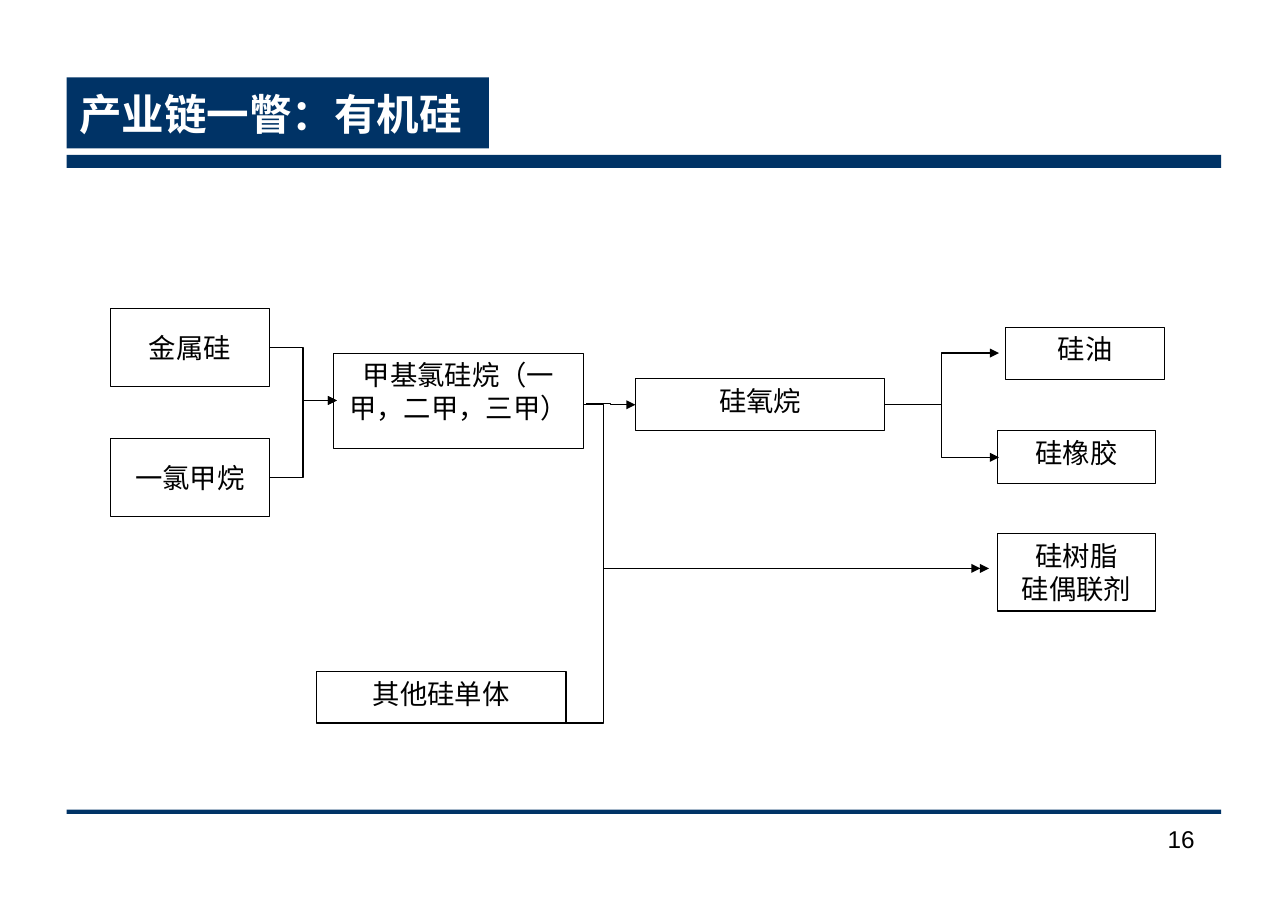
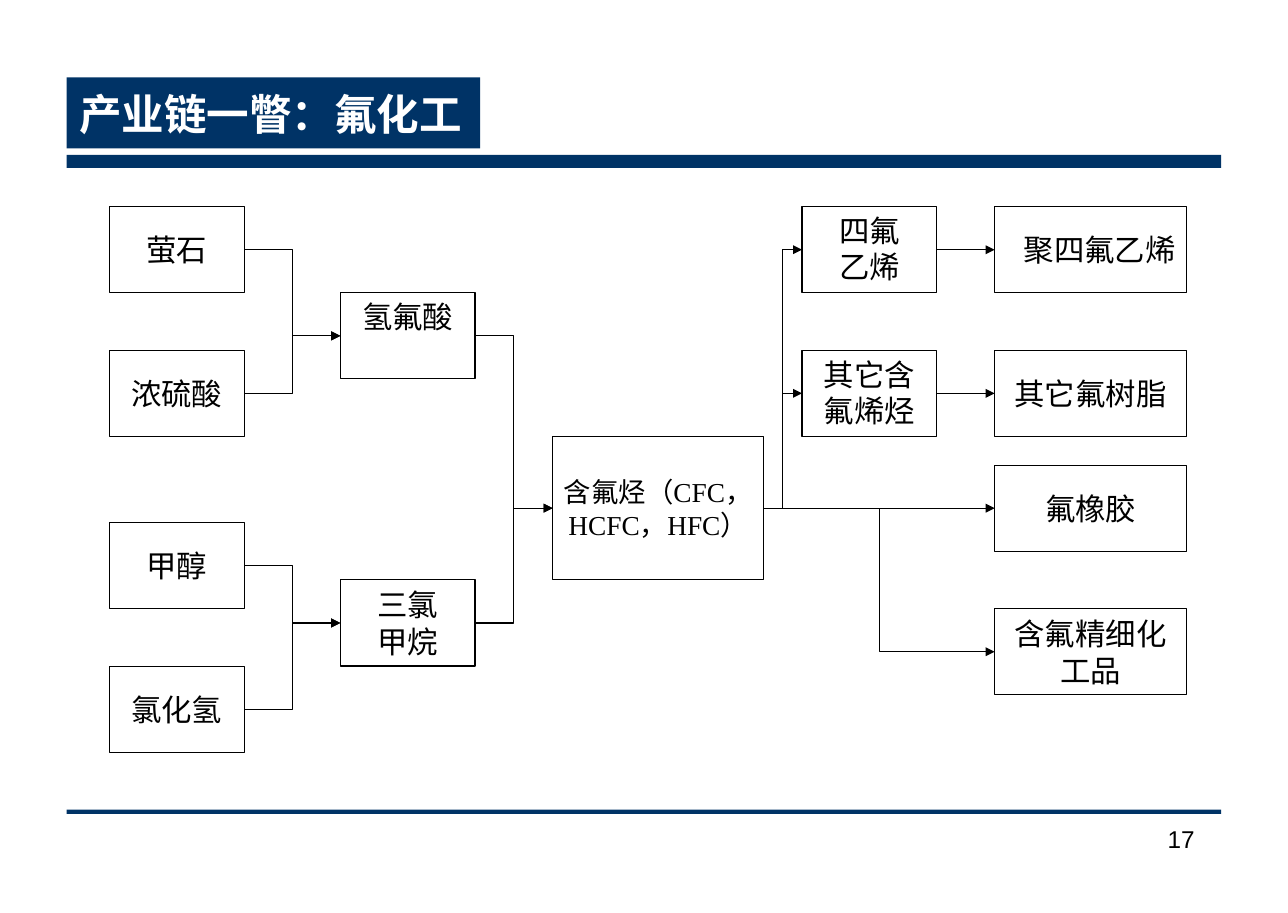
"""Build two industry-chain flow slides: organosilicon and fluorochemicals."""
import pptx
import pptx.dml.color
import pptx.enum.shapes
import pptx.enum.text
import pptx.oxml
import pptx.oxml.ns
import pptx.util

Cm = pptx.util.Cm
Pt = pptx.util.Pt
ALIGN = pptx.enum.text.PP_ALIGN
ANCHOR = pptx.enum.text.MSO_ANCHOR
CONNECTOR = pptx.enum.shapes.MSO_CONNECTOR
RECT = pptx.enum.shapes.MSO_SHAPE.RECTANGLE

COLORS = {"navy": "003366", "white": "FFFFFF", "black": "000000"}
SERIF, SANS = "Times New Roman", "Arial"
LEFT, BAND_WIDTH = 1.55, 26.8
RIGHT_SIDE, LEFT_SIDE = 3, 1


def rgb(name):
    return pptx.dml.color.RGBColor.from_string(COLORS[name])


def write(sp, text, size, font, color="black", align=ALIGN.CENTER, anchor=ANCHOR.MIDDLE, bold=False):
    tf = sp.text_frame
    tf.word_wrap = True
    tf.vertical_anchor = anchor
    tf.text = text
    for p in tf.paragraphs:
        p._p.get_or_add_pPr().set("hangingPunct", "0")
        p.alignment = align
        p.font.size = Pt(size)
        p.font.name = font
        p.font.bold = bold
        p.font.color.rgb = rgb(color)


def pad(sp):
    tf = sp.text_frame
    tf.margin_left = tf.margin_right = Cm(0.29)
    tf.margin_top = tf.margin_bottom = Cm(0.15)


def rect(slide, x, y, w, h, fill="navy", line=None):
    sp = slide.shapes.add_shape(RECT, Cm(x), Cm(y), Cm(w), Cm(h))
    sp.shadow.inherit = False
    sp.fill.solid()
    sp.fill.fore_color.rgb = rgb(fill)
    if line:
        sp.line.color.rgb = rgb(line)
        sp.line.width = Pt(0.75)
    else:
        sp.line.fill.background()
    return sp


def box(slide, text, x, y, w, h, size=18, font=SERIF, **style):
    sp = rect(slide, x, y, w, h, "white", "black")
    write(sp, text, size, font, **style)
    return sp


def end_point(end, side):
    if isinstance(end, tuple):
        return Cm(end[0]), Cm(end[1])
    return end.left + (end.width if side == RIGHT_SIDE else 0), end.top + end.height // 2


def arrow(slide, start, end, bend_x=None, kind=CONNECTOR.ELBOW):
    x1, y1 = end_point(start, RIGHT_SIDE)
    x2, y2 = end_point(end, LEFT_SIDE)
    c = slide.shapes.add_connector(kind, x1, y1, x2, y2)
    if not isinstance(start, tuple):
        c.begin_connect(start, RIGHT_SIDE)
    if not isinstance(end, tuple):
        c.end_connect(end, LEFT_SIDE)
    c.line.color.rgb = rgb("black")
    c.line.width = Pt(0.75)
    qn, sub = pptx.oxml.ns.qn, pptx.oxml.parse_xml
    ns = pptx.oxml.ns.nsdecls("a")
    props = c.element.spPr
    props.find(qn("a:ln")).append(sub(f'<a:tailEnd {ns} type="triangle"/>'))
    props.append(sub(f"<a:effectLst {ns}/>"))
    if bend_x is not None:
        ratio = round((Cm(bend_x) - x1) / (x2 - x1) * 100000)
        geom = props.find(qn("a:prstGeom"))
        for old in list(geom):
            geom.remove(old)
        geom.append(sub(f'<a:avLst {ns}><a:gd name="adj1" fmla="val {ratio}"/></a:avLst>'))


def new_slide(prs, title, title_width, number):
    slide = prs.slides.add_slide(prs.slide_layouts[6])
    rect(slide, LEFT, 3.6, BAND_WIDTH, 0.3)
    rect(slide, LEFT, 18.8, BAND_WIDTH, 0.1)
    sp = slide.shapes.add_textbox(Cm(25.76), Cm(19), Cm(2.26), Cm(1.47))
    write(sp, str(number), 16, SANS, align=ALIGN.RIGHT, anchor=ANCHOR.TOP)
    pad(sp)
    sp = rect(slide, LEFT, 1.8, title_width, 1.65)
    write(sp, title, 28, SANS, "white", ALIGN.LEFT, bold=True)
    pad(sp)
    return slide


def silicone_slide(prs):
    slide = new_slide(prs, "产业链一瞥：有机硅", 9.8, 16)
    small, wide, top = 3.68, 5.79, ANCHOR.TOP
    silicon = box(slide, "金属硅", 2.57, 7.16, small, 1.82)
    methyl = box(slide, "一氯甲烷", 2.57, 10.18, small, 1.82)
    box(slide, "甲基氯硅烷（一甲，二甲，三甲）", 7.75, 8.2, wide, 2.21, anchor=top)
    siloxane = box(slide, "硅氧烷", 14.75, 8.8, wide, 1.2, anchor=top)
    box(slide, "其他硅单体", 7.35, 15.59, wide, 1.2, font=SANS, anchor=top)
    box(slide, "硅油", 23.35, 7.6, small, 1.22, anchor=top)
    box(slide, "硅橡胶", 23.15, 10, small, 1.22, anchor=top)
    box(slide, "硅树脂\n硅偶联剂", 23.15, 12.39, small, 1.8, anchor=top)
    for source in (silicon, methyl):
        arrow(slide, source, (7.82, 9.3))
    arrow(slide, (13.61, 9.37), siloxane)
    for y in (8.2, 10.62):
        arrow(slide, siloxane, (23.19, y))
    arrow(slide, (13.54, 9.4), (22.76, 13.2), bend_x=14)
    arrow(slide, (13.15, 16.79), (22.96, 13.2), bend_x=14)


def fluorine_slide(prs):
    slide = new_slide(prs, "产业链一瞥：氟化工", 9.6, 17)
    row = 2 / 3
    columns = {"raw": (2.54, 3.13), "acid": (7.9, 3.13), "core": (12.83, 4.9),
               "monomer": (18.62, 3.13), "product": (23.09, 4.46)}

    def cell(text, column, step, rows=3, size=20, **style):
        x, w = columns[column]
        return box(slide, text, x, 4.8 + step * row, w, rows * row, size, **style)

    fluorite, sulfuric, methanol, chloride = [
        cell(text, "raw", step)
        for text, step in (("萤石", 0), ("浓硫酸", 5), ("甲醇", 11), ("氯化氢", 16))]
    hydrofluoric = cell("氢氟酸", "acid", 3, anchor=ANCHOR.TOP)
    chloroform = cell("三氯\n甲烷", "acid", 13)
    core = cell("含氟烃（CFC，HCFC，HFC）", "core", 8, rows=5, size=18)
    tetra = cell("四氟\n乙烯", "monomer", 0, anchor=ANCHOR.TOP)
    olefin = cell("其它含氟烯烃", "monomer", 5, anchor=ANCHOR.TOP)
    ptfe = cell("聚四氟乙烯", "product", 0, align=ALIGN.RIGHT)
    resin, rubber, fine = [
        cell(text, "product", step)
        for text, step in (("其它氟树脂", 5), ("氟橡胶", 9), ("含氟精细化工品", 14))]
    for start, end in ((fluorite, hydrofluoric), (sulfuric, hydrofluoric),
                       (methanol, chloroform), (chloride, chloroform),
                       (hydrofluoric, core), (chloroform, core),
                       (core, tetra), (core, olefin), (core, fine)):
        arrow(slide, start, end)
    for start, end in ((core, rubber), (tetra, ptfe), (olefin, resin)):
        arrow(slide, start, end, kind=CONNECTOR.STRAIGHT)


def main():
    prs = pptx.Presentation()
    prs.slide_width = Cm(29.9)
    prs.slide_height = Cm(21.2)
    silicone_slide(prs)
    fluorine_slide(prs)
    prs.save("out.pptx")


if __name__ == "__main__":
    main()
